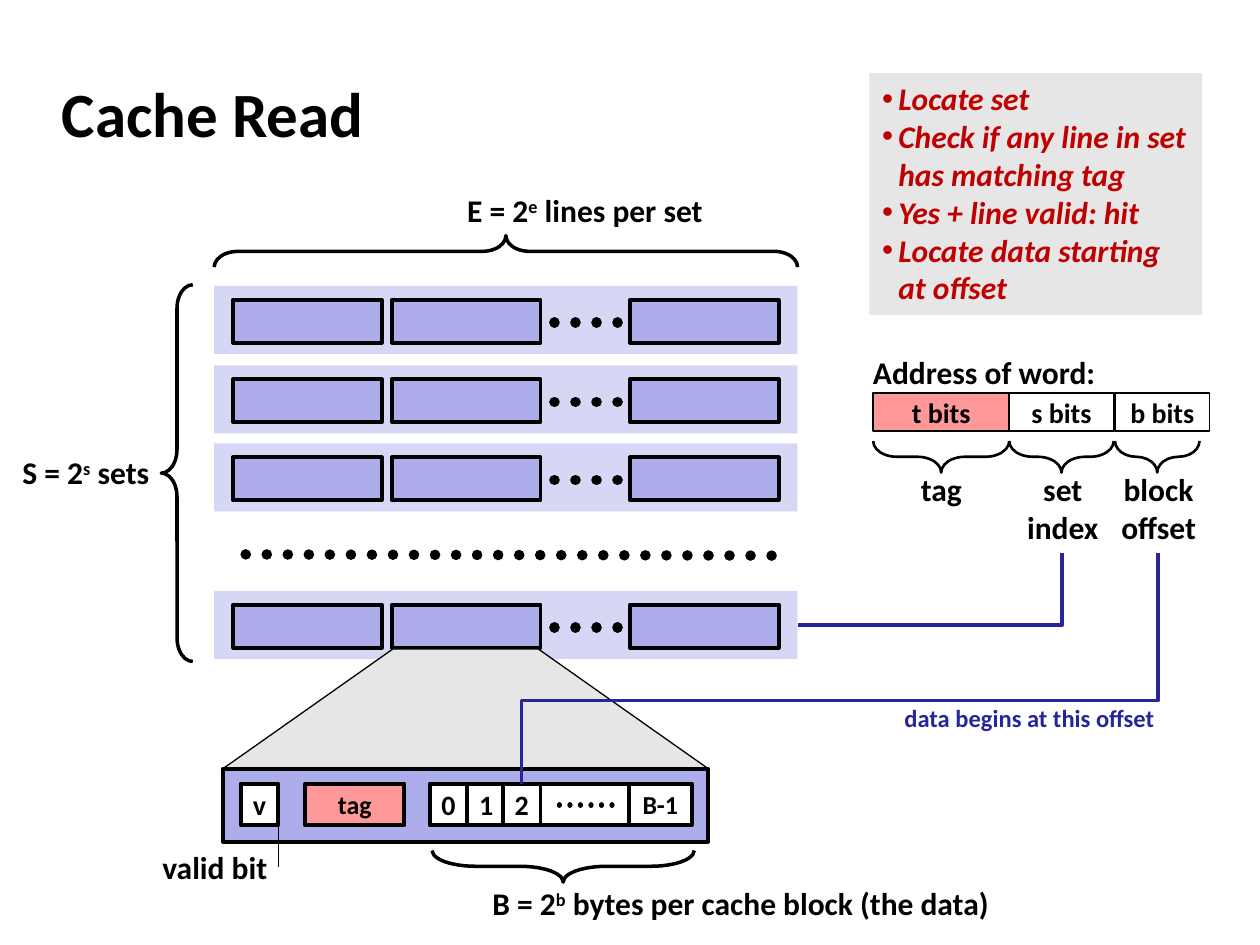
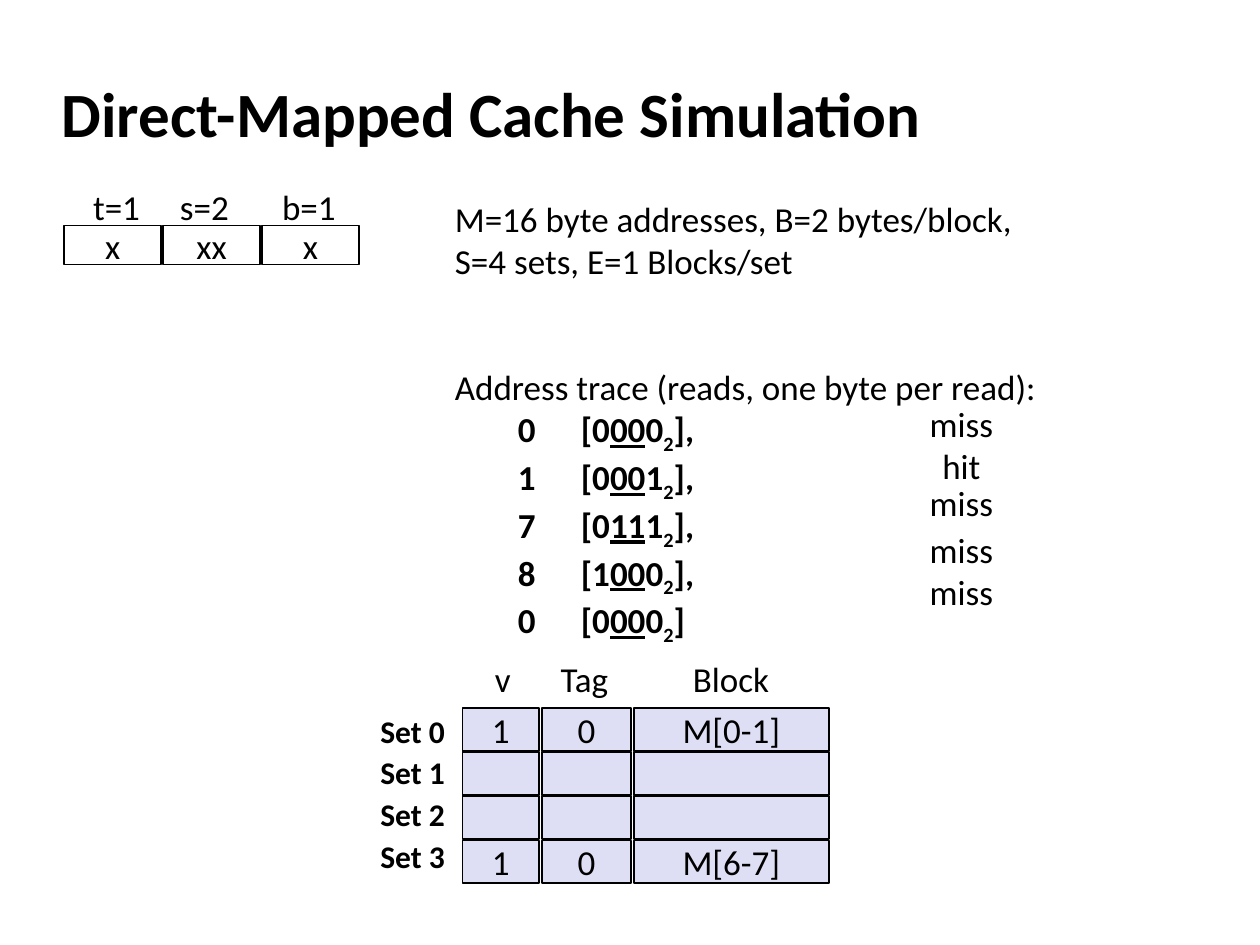
import lxml.etree
import pptx
import pptx.dml.color
import pptx.enum.dml
import pptx.enum.shapes
import pptx.enum.text
import pptx.oxml.ns
import pptx.util

Inches, Pt = pptx.util.Inches, pptx.util.Pt
RGBColor = pptx.dml.color.RGBColor
SHAPE = pptx.enum.shapes.MSO_SHAPE
CONNECTOR = pptx.enum.shapes.MSO_CONNECTOR
ALIGN = pptx.enum.text.PP_ALIGN
ANCHOR = pptx.enum.text.MSO_ANCHOR
AUTO_SIZE = pptx.enum.text.MSO_AUTO_SIZE
qn = pptx.oxml.ns.qn

FONT = "Calibri"
BLACK = RGBColor(0x00, 0x00, 0x00)
WHITE = RGBColor(0xFF, 0xFF, 0xFF)
GREY = RGBColor(0xE6, 0xE6, 0xE6)
SET_LILAC = RGBColor(0xD6, 0xD6, 0xF5)
LINE_LILAC = RGBColor(0xAD, 0xAD, 0xEB)
CELL_LILAC = RGBColor(0xDE, 0xDF, 0xF5)
TAG_PINK = RGBColor(0xFF, 0x99, 0x99)
PATH_BLUE = RGBColor(0x26, 0x26, 0x99)
STEP_RED = RGBColor(0xC0, 0x00, 0x00)

# Cache Read
READ_STEPS = [
    ["Locate set"],
    ["Check if any line in set", "has matching tag"],
    ["Yes + line valid: hit"],
    ["Locate data starting", "at offset"],
]
SET_TOPS = [2.27, 2.90, 3.52, 4.69]
SET_LEFT, SET_WIDTH = 1.70, 4.63
LINE_LEFTS = [1.85, 3.11, 5.00]
# left, top, width, height, lines of runs
READ_LABELS = [
    (3.61, 1.47, 2.14, 0.40, [[("E = 2", ""), ("e", "sup"), (" lines per set", "")]]),
    (0.08, 3.55, 1.23, 0.40, [[("S = 2", ""), ("s", "sup"), (" sets", "")]]),
    (1.19, 6.68, 1.04, 0.40, [[("valid bit", "")]]),
    (3.81, 6.97, 4.19, 0.40,
     [[("B = 2", ""), ("b", "sup"), (" bytes per cache block (the data)", "")]]),
    (6.83, 2.75, 1.98, 0.40, [[("Address of word:", "")]]),
    (7.21, 3.68, 0.53, 0.40, [[("tag", "")]]),
    (8.05, 3.68, 0.77, 0.71, [[("set", "")], [("index", "")]]),
    (8.79, 3.68, 0.81, 0.71, [[("block", "")], [("offset", "")]]),
]
# left, width, text, fill, size
BLOCK_CELLS = [
    (1.91, 0.30, "v", WHITE, 16),
    (2.42, 0.79, "tag", TAG_PINK, 14.8),
    (3.41, 0.30, "0", WHITE, 16),
    (3.71, 0.30, "1", WHITE, 16),
    (3.99, 0.30, "2", WHITE, 16),
    (4.99, 0.50, "B-1", WHITE, 14.8),
    (4.29, 0.70, "", WHITE, 16),
]
# left, width, text, fill, brace length
ADDRESS_FIELDS = [
    (6.93, 1.08, "t bits", TAG_PINK, 1.08),
    (8.01, 0.83, "s bits", WHITE, 0.83),
    (8.85, 0.75, "b bits", WHITE, 0.67),
]

# Direct-Mapped Cache Simulation
PARAMETERS = ["M=16 byte addresses, B=2 bytes/block,", "S=4 sets, E=1 Blocks/set"]
TRACE_HEADING = "Address trace (reads, one byte per read):"
# address, tag bit, set bits, offset bit, end of entry
TRACE = [
    ("0", "0", "00", "0", "],"),
    ("1", "0", "00", "1", "],"),
    ("7", "0", "11", "1", "],"),
    ("8", "1", "00", "0", "],"),
    ("0", "0", "00", "0", "]"),
]
# left, top, width, text
OUTCOMES = [
    (7.28, 3.25, 0.71, "miss"),
    (7.38, 3.58, 0.51, "hit"),
    (7.28, 3.88, 0.71, "miss"),
    (7.28, 4.25, 0.71, "miss"),
    (7.28, 4.58, 0.71, "miss"),
]
# label left, label width, label, bits
FIELD_BITS = [(0.64, 0.58, "t=1", "x"), (1.33, 0.59, "s=2", "xx"), (2.14, 0.63, "b=1", "x")]
# column left, column width, heading left, heading width, heading
CACHE_COLUMNS = [
    (3.67, 0.61, 3.83, 0.34, "v"),
    (4.30, 0.71, 4.35, 0.58, "Tag"),
    (5.03, 1.55, 5.40, 0.81, "Block"),
]
CACHE_ROWS = [
    ("Set 0", ["1", "0", "M[0-1]"]),
    ("Set 1", ["", "", ""]),
    ("Set 2", ["", "", ""]),
    ("Set 3", ["1", "0", "M[6-7]"]),
]


def add_run(paragraph, text, size, color=BLACK, bold=False, italic=False, style=""):
    """Add one run; style is "", "sup", "sub" or "underline"."""
    run = paragraph.add_run()
    run.text = text
    font = run.font
    font.name, font.size, font.bold, font.italic = FONT, Pt(size), bold, italic
    font.color.rgb = color
    if style == "underline":
        font.underline = True
    elif style:
        run._r.get_or_add_rPr().set("baseline", {"sup": "30000", "sub": "-25000"}[style])


def place(shape, left, top, width, height):
    shape.left, shape.top = Inches(left), Inches(top)
    shape.width, shape.height = Inches(width), Inches(height)


def set_indent(paragraph, margin, first_line):
    properties = paragraph._p.get_or_add_pPr()
    properties.set("marL", str(Inches(margin)))
    properties.set("indent", str(Inches(first_line)))
    return properties


def add_slide(deck, title_text):
    """Add a slide with its title; return the slide and its body placeholder."""
    slide = deck.slides.add_slide(deck.slide_layouts[1])
    title, body = slide.placeholders
    place(title, 0.39, 0.48, 8.30, 0.83)
    title.text_frame.vertical_anchor = ANCHOR.MIDDLE
    heading = title.text_frame.paragraphs[0]
    heading.alignment = ALIGN.LEFT
    add_run(heading, title_text, 36, bold=True)
    for placeholder in (title, body):
        placeholder.text_frame.auto_size = AUTO_SIZE.NONE
    return slide, body


def next_paragraph(frame, index):
    return frame.add_paragraph() if index else frame.paragraphs[0]


def add_label(slide, left, top, width, height, lines, size=18, color=BLACK, bold=True,
              spacing=None):
    label = slide.shapes.add_textbox(Inches(left), Inches(top), Inches(width), Inches(height))
    frame = label.text_frame
    frame.word_wrap = False
    frame.auto_size = AUTO_SIZE.SHAPE_TO_FIT_TEXT
    for index, runs in enumerate(lines):
        paragraph = next_paragraph(frame, index)
        paragraph.alignment = ALIGN.CENTER if len(lines) > 1 else ALIGN.LEFT
        if spacing:
            paragraph.line_spacing = spacing
        for text, style in runs:
            add_run(paragraph, text, size, color, bold, style=style)


def add_box(slide, left, top, width, height, fill, line_width=0, text="", size=16, bold=True,
            preset=SHAPE.RECTANGLE):
    box = slide.shapes.add_shape(preset, Inches(left), Inches(top), Inches(width), Inches(height))
    box.shadow.inherit = False
    if fill is None:
        box.fill.background()
    else:
        box.fill.solid()
        box.fill.fore_color.rgb = fill
    if line_width:
        box.line.color.rgb = BLACK
        box.line.width = Pt(line_width)
    else:
        box.line.fill.background()
    if text:
        frame = box.text_frame
        frame.word_wrap = False
        frame.vertical_anchor = ANCHOR.MIDDLE
        frame.paragraphs[0].alignment = ALIGN.CENTER
        add_run(frame.paragraphs[0], text, size, bold=bold)
    return box


def add_flat_brace(slide, left, top, length, rotation, line_width=2, curl=0.75):
    """Add a horizontal brace; left and top are those of the turned brace."""
    depth = 0.25
    brace = add_box(slide, left + (length - depth) / 2, top + (depth - length) / 2,
                    depth, length, None, line_width, preset=SHAPE.LEFT_BRACE)
    brace.adjustments[0] = curl
    brace.rotation = rotation


def add_line(slide, start, end, width, color=BLACK, kind=CONNECTOR.STRAIGHT, dotted=False):
    line = slide.shapes.add_connector(kind, *map(Inches, start + end))
    line.line.color.rgb = color
    line.line.width = Pt(width)
    if dotted:
        line.line.dash_style = pptx.enum.dml.MSO_LINE.ROUND_DOT
        line.line._get_or_add_ln().set("cap", "rnd")
    lxml.etree.SubElement(line._element.spPr, qn("a:effectLst"))
    return line


def add_descending_path(slide, start, end, bend=None):
    """Add an elbow that leaves downwards and runs left, turned 90 degrees.

    With bend, a fraction of the drop, it turns down again at that height.
    """
    (start_x, start_y), (end_x, end_y) = start, end
    drop, run = end_y - start_y, start_x - end_x
    left, top = (start_x + end_x - drop) / 2, (start_y + end_y - run) / 2
    path = add_line(slide, (left, top), (left + drop, top + run), 2, PATH_BLUE, CONNECTOR.ELBOW)
    properties = path._element.spPr
    properties.find(qn("a:xfrm")).set("rot", "5400000")
    geometry = properties.find(qn("a:prstGeom"))
    if bend is None:
        geometry.set("prst", "bentConnector2")
    else:
        guides = geometry.find(qn("a:avLst"))
        lxml.etree.SubElement(guides, qn("a:gd"), name="adj1", fmla=f"val {round(bend * 100000)}")


def write_steps(body):
    place(body, 6.90, 0.58, 2.64, 1.92)
    body.fill.solid()
    body.fill.fore_color.rgb = GREY
    body.text_frame.word_wrap = False
    for index, lines in enumerate(READ_STEPS):
        step = next_paragraph(body.text_frame, index)
        set_indent(step, 0.13, -0.13)
        step.space_before = Pt(0)
        for number, line in enumerate(lines):
            if number:
                step.add_line_break()
            add_run(step, line, 18, STEP_RED, bold=True, italic=True)


def build_cache_read(deck):
    slide, body = add_slide(deck, "Cache Read")
    write_steps(body)

    add_flat_brace(slide, SET_LEFT, 1.87, SET_WIDTH, 90)
    sets_brace = add_box(slide, 1.28, 2.26, 0.25, 2.99, None, 2, preset=SHAPE.LEFT_BRACE)
    sets_brace.adjustments[0] = 0.75
    for top in SET_TOPS:
        add_box(slide, SET_LEFT, top, SET_WIDTH, 0.54, SET_LILAC)
        for left in LINE_LEFTS:
            add_box(slide, left, top + 0.11, 1.18, 0.34, LINE_LILAC, 2.25)
        add_line(slide, (4.40, top + 0.29), (5.01, top + 0.29), 6, dotted=True)
    add_line(slide, (1.95, 4.40), (6.19, 4.41), 6, dotted=True)

    zoom = add_box(slide, 1.77, 5.15, 3.85, 0.95, GREY, 0.75, preset=SHAPE.TRAPEZOID)
    zoom.adjustments[0] = 1.42
    add_box(slide, 1.77, 6.10, 3.85, 0.58, LINE_LILAC, 2.25)
    for left, width, text, fill, size in BLOCK_CELLS:
        add_box(slide, left, 6.22, width, 0.33, fill, 2.25, text, size)
    add_line(slide, (4.44, 6.39), (4.94, 6.39), 3, dotted=True)
    add_line(slide, (2.21, 6.88), (2.21, 6.55), 0.75)
    add_flat_brace(slide, 3.43, 6.75, 2.08, 270, curl=1.37)

    for left, width, text, fill, brace_length in ADDRESS_FIELDS:
        add_box(slide, left, 3.12, width, 0.30, fill, 1, text)
        add_flat_brace(slide, left, 3.50, brace_length, 270, 1.5)
    for label in READ_LABELS:
        add_label(slide, *label)

    add_descending_path(slide, (8.43, 4.39), (6.33, 4.96))
    add_descending_path(slide, (9.19, 4.39), (4.14, 6.22), bend=0.64)
    add_label(slide, 7.08, 5.53, 2.20, 0.34, [[("data begins at this offset", "")]], 14, PATH_BLUE)


def write_trace(body):
    place(body, 3.51, 1.52, 6.74, 3.46)
    plain_lines = [[(line, "")] for line in PARAMETERS + [TRACE_HEADING]]
    trace_lines = [
        [(f"\t{address}\t[{tag}", ""), (set_bits, "underline"), (offset, ""), ("2", "sub"), (end, "")]
        for address, tag, set_bits, offset, end in TRACE
    ]
    for index, runs in enumerate(plain_lines + trace_lines):
        paragraph = next_paragraph(body.text_frame, index)
        properties = set_indent(paragraph, 0, 0)
        lxml.etree.SubElement(properties, qn("a:buNone"))
        tabs = lxml.etree.SubElement(properties, qn("a:tabLst"))
        for stop in (1, 2):
            lxml.etree.SubElement(tabs, qn("a:tab"), pos=str(Inches(stop)), algn="l")
        paragraph.space_before = Pt(48 if index == len(PARAMETERS) else 0)
        for text, style in runs:
            add_run(paragraph, text, 20, bold=index >= len(plain_lines), style=style)


def build_simulation(deck):
    slide, body = add_slide(deck, "Direct-Mapped Cache Simulation")
    write_trace(body)
    for index, (left, width, label, bits) in enumerate(FIELD_BITS):
        add_box(slide, 0.51 + 0.785 * index, 1.79, 0.77, 0.31, WHITE, 1, bits, 20, False)
        add_label(slide, left, 1.42, width, 0.43, [[(label, "")]], 20, bold=False)
    for left, top, width, outcome in OUTCOMES:
        add_label(slide, left, top, width, 0.34, [[(outcome, "")]], 20, bold=False, spacing=0.65)

    for _, _, left, width, heading in CACHE_COLUMNS:
        add_label(slide, left, 5.17, width, 0.43, [[(heading, "")]], 20, bold=False)
    for row, (set_name, values) in enumerate(CACHE_ROWS):
        add_label(slide, 2.92, 5.60 + 0.33 * row, 0.72, 0.40, [[(set_name, "")]])
        for (left, width, *_), value in zip(CACHE_COLUMNS, values):
            add_box(slide, left, 5.62 + 0.35 * row, width, 0.34, CELL_LILAC, 1, value, 20, False)


def main():
    deck = pptx.Presentation()
    deck.slide_width, deck.slide_height = Inches(10), Inches(7.5)
    build_cache_read(deck)
    build_simulation(deck)
    deck.save("out.pptx")


if __name__ == "__main__":
    main()
